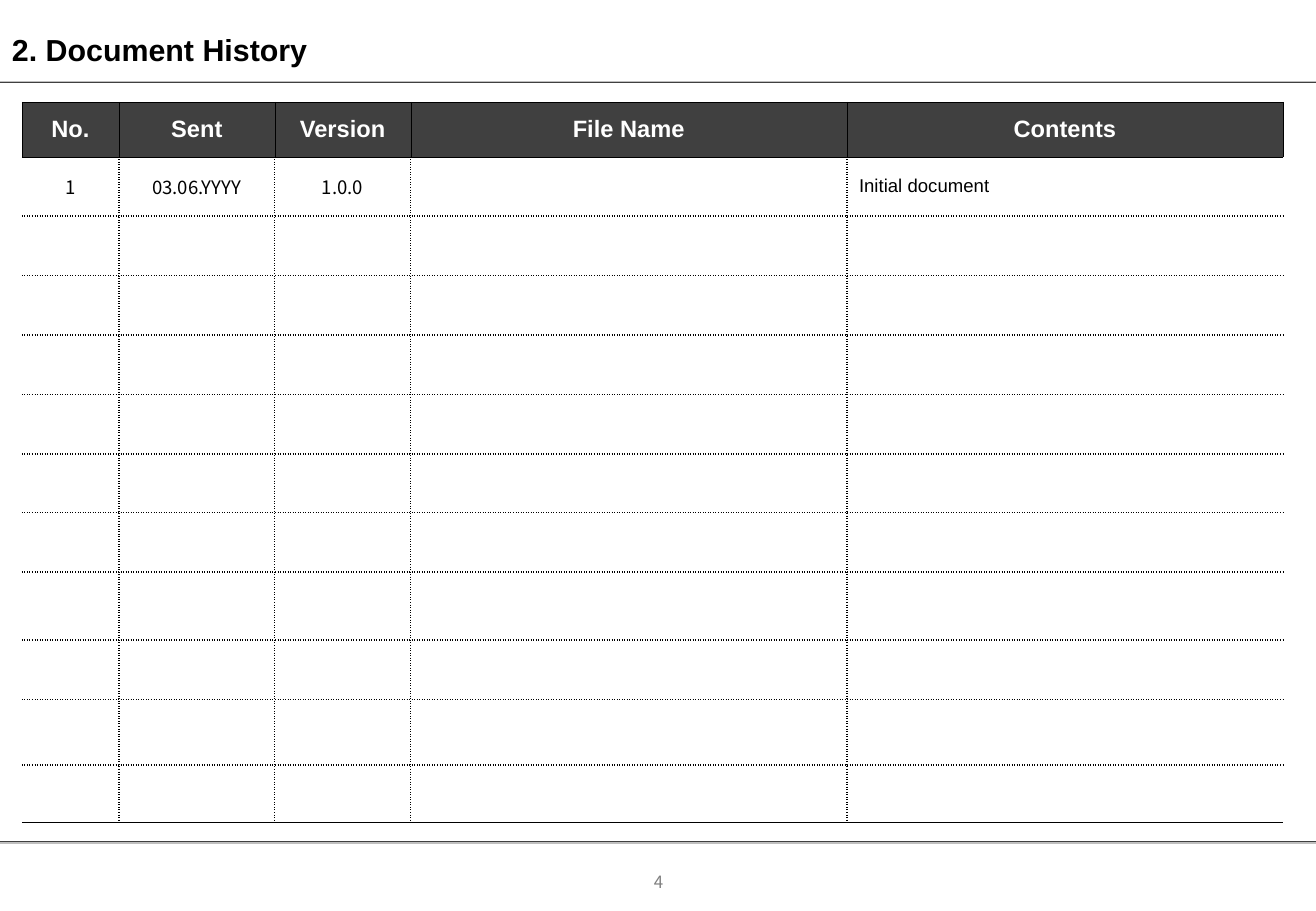
from lxml import etree
from pptx import Presentation
from pptx.dml.color import RGBColor
from pptx.enum.shapes import MSO_CONNECTOR
from pptx.enum.text import MSO_ANCHOR, PP_ALIGN
from pptx.oxml.ns import qn
from pptx.util import Inches, Pt

STRAIGHT = MSO_CONNECTOR.STRAIGHT
TOP = MSO_ANCHOR.TOP
MIDDLE = MSO_ANCHOR.MIDDLE
LEFT = PP_ALIGN.LEFT
CENTER = PP_ALIGN.CENTER

BLACK = RGBColor(0x00, 0x00, 0x00)
WHITE = RGBColor(0xFF, 0xFF, 0xFF)
CHARCOAL = RGBColor(0x40, 0x40, 0x40)
SILVER = RGBColor(0xBF, 0xBF, 0xBF)
GRAY = RGBColor(0x7F, 0x7F, 0x7F)

LATIN = "Arial"
KOREAN = "Noto Sans CJK KR"

SLIDE_WIDTH = 10.83
SLIDE_HEIGHT = 7.5
RULES = [(0.68, CHARCOAL), (6.93, CHARCOAL), (0.67, SILVER), (6.94, SILVER)]

COLUMN_WIDTHS = [0.8, 1.28, 1.12, 3.59, 3.59]
ROW_HEIGHTS = [0.45] + [0.49] * 5 + [0.48, 0.49, 0.56, 0.49, 0.54, 0.47]
HEADINGS = ["No.", "Sent", "Version", "File Name", "Contents"]
FIRST_ENTRY = ["1", "03.06.YYYY", "1.0.0", "", "Initial document"]

TITLE_FONT = {"name": LATIN, "size": Pt(18), "bold": True}
HEADING_FONT = {"name": LATIN, "size": Pt(14), "bold": True}
ENTRY_FONT = {"name": KOREAN, "size": Pt(11), "bold": False}
CONTENTS_FONT = {"name": LATIN, "size": Pt(11), "bold": False}
PAGE_FONT = {"name": KOREAN, "size": Pt(10), "bold": False}

HAIRLINE = (0.11, "solid")
DOTTED = (1, "sysDot")
CLOSING = (0.5, "solid")


def write(paragraph, text, font, color, alignment=LEFT, spacing=1.0):
    paragraph.alignment = alignment
    paragraph.line_spacing = spacing
    run = paragraph.add_run()
    run.text = text
    for name, value in font.items():
        setattr(run.font, name, value)
    run.font.color.rgb = color


def add_text(slide, box, text, font, color, anchor=TOP, **layout):
    shape = slide.shapes.add_textbox(*map(Inches, box))
    shape.text_frame.word_wrap = True
    shape.text_frame.vertical_anchor = anchor
    write(shape.text_frame.paragraphs[0], text, font, color, **layout)


def add_rule(slide, top, color):
    rule = slide.shapes.add_connector(
        STRAIGHT, Inches(0), Inches(top), Inches(SLIDE_WIDTH), Inches(top))
    rule.line.color.rgb = color
    rule.line.width = Pt(0.75)
    etree.SubElement(rule._element.spPr, qn("a:effectLst"))


def add_border(cell, side, style):
    properties = cell._tc.get_or_add_tcPr()
    line = etree.SubElement(properties, qn(f"a:ln{side}"))
    if style is None:
        etree.SubElement(line, qn("a:noFill"))
        return
    width, dash = style
    line.set("w", str(Pt(width)))
    fill = etree.SubElement(line, qn("a:solidFill"))
    etree.SubElement(fill, qn("a:srgbClr"), val=str(BLACK))
    etree.SubElement(line, qn("a:prstDash"), val=dash)


def cell_borders(row, column):
    if row == 0:
        return dict.fromkeys("LRTB", HAIRLINE)
    return {
        "L": DOTTED if column > 0 else None,
        "R": DOTTED if column < len(COLUMN_WIDTHS) - 1 else None,
        "T": HAIRLINE if row == 1 else DOTTED,
        "B": CLOSING if row == len(ROW_HEIGHTS) - 1 else DOTTED,
    }


def format_cell(cell, row, column):
    for side, style in cell_borders(row, column).items():
        add_border(cell, side, style)
    cell.fill.solid()
    cell.fill.fore_color.rgb = CHARCOAL if row == 0 else WHITE
    cell.vertical_anchor = MIDDLE


def add_history_table(slide):
    table = slide.shapes.add_table(
        len(ROW_HEIGHTS), len(COLUMN_WIDTHS), Inches(0.18), Inches(0.84),
        Inches(sum(COLUMN_WIDTHS)), Inches(sum(ROW_HEIGHTS))).table
    table.first_row = False
    table.horz_banding = False
    for column, width in zip(table.columns, COLUMN_WIDTHS):
        column.width = Inches(width)
    for row, height in zip(table.rows, ROW_HEIGHTS):
        row.height = Inches(height)
    for row in range(len(ROW_HEIGHTS)):
        for column in range(len(COLUMN_WIDTHS)):
            format_cell(table.cell(row, column), row, column)
    for column, heading in enumerate(HEADINGS):
        cell = table.cell(0, column)
        cell.margin_top = Inches(0.06)
        write(cell.text_frame.paragraphs[0], heading, HEADING_FONT, WHITE, CENTER, 0.94)
    for column, entry in enumerate(FIRST_ENTRY):
        if not entry:
            continue
        paragraph = table.cell(1, column).text_frame.paragraphs[0]
        if HEADINGS[column] == "Contents":
            write(paragraph, entry, CONTENTS_FONT, BLACK, LEFT, 0.94)
        else:
            write(paragraph, entry, ENTRY_FONT, BLACK, CENTER, 0.98)


def main():
    presentation = Presentation()
    presentation.slide_width = Inches(SLIDE_WIDTH)
    presentation.slide_height = Inches(SLIDE_HEIGHT)
    slide = presentation.slides.add_slide(presentation.slide_layouts[6])
    for top, color in RULES:
        add_rule(slide, top, color)
    add_text(slide, (4.87, 7.14, 1.1, 0.22), "4", PAGE_FONT, GRAY,
             anchor=MIDDLE, alignment=CENTER, spacing=1.1)
    add_history_table(slide)
    add_text(slide, (0, 0.21, 8.49, 0.4), "2. Document History", TITLE_FONT, BLACK)
    presentation.save("out.pptx")


if __name__ == "__main__":
    main()
